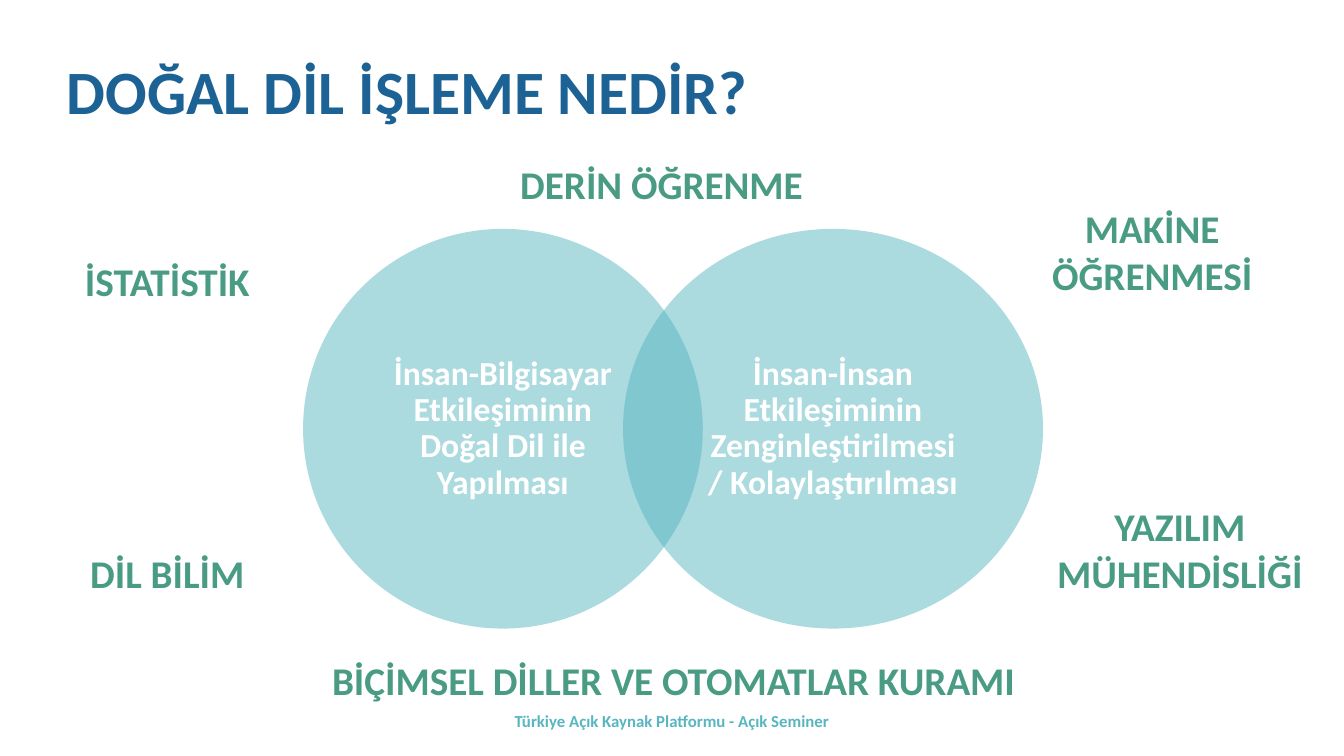
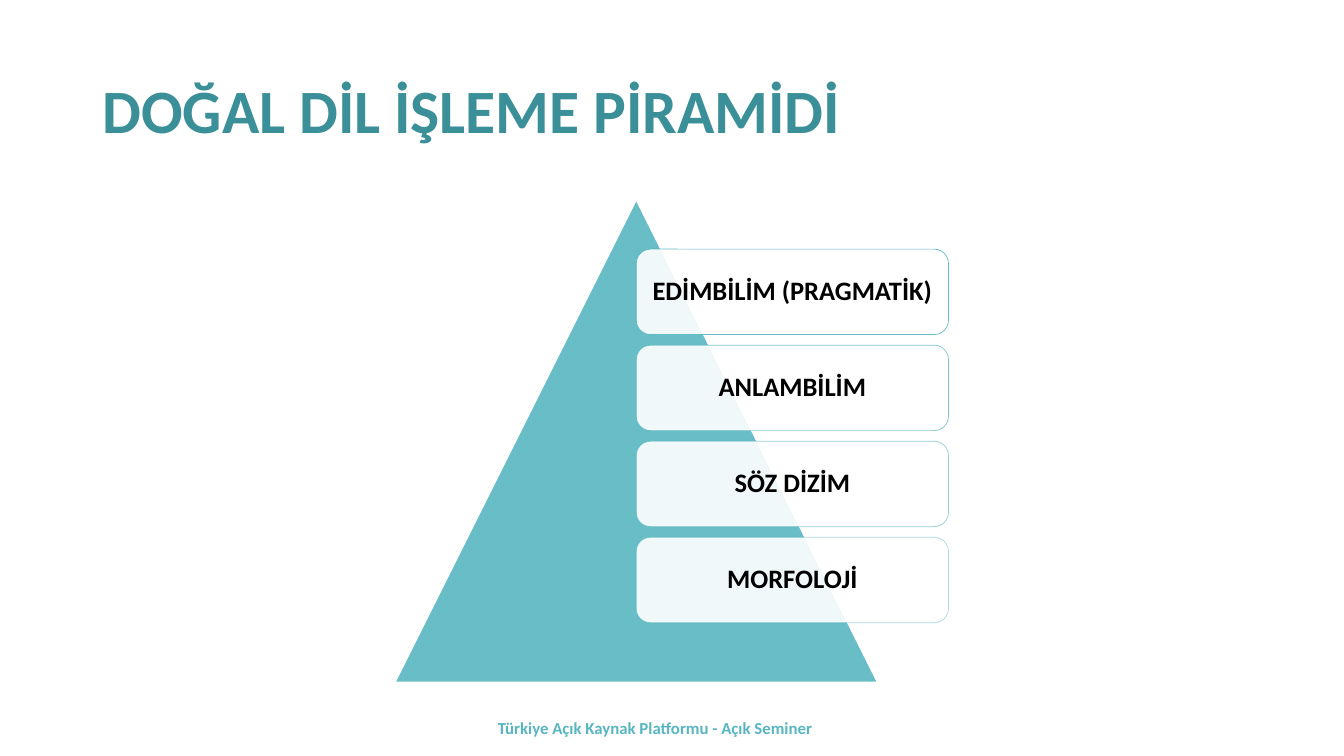
from lxml.etree import SubElement
from pptx import Presentation
from pptx.dml.color import RGBColor
from pptx.enum.shapes import MSO_SHAPE
from pptx.enum.text import MSO_ANCHOR, MSO_AUTO_SIZE, PP_ALIGN
from pptx.oxml.ns import qn
from pptx.util import Pt

COLORS = {
    "blue": "1D6294",
    "teal": "3A8F98",
    "aqua": "58B6C0",
    "green": "4A9B83",
    "white": "FFFFFF",
    "black": "000000",
}
FONT = "Calibri"
FOOTER = "Türkiye Açık Kaynak Platformu - Açık Seminer"

TOPICS = [
    ("İSTATİSTİK", 33, 180, 173, 41),
    ("DİL BİLİM", 33, 389, 173, 41),
    ("MAKİNE ÖĞRENMESİ", 698, 142.5, 250, 75),
    ("YAZILIM MÜHENDİSLİĞİ", 744.5, 355, 196.5, 75),
    ("DERİN ÖĞRENME", 357, 111, 231, 41),
    ("BİÇİMSEL DİLLER VE OTOMATLAR KURAMI", 198, 465, 566, 41),
]
CIRCLES = [
    ("İnsan-Bilgisayar Etkileşiminin Doğal Dil ile Yapılması", 216.5, 285.5),
    ("İnsan-İnsan Etkileşiminin Zenginleştirilmesi / Kolaylaştırılması", 445, 300),
]
LEVELS = ["EDİMBİLİM (PRAGMATİK)", "ANLAMBİLİM", "SÖZ DİZİM", "MORFOLOJİ"]


def color(name):
    return RGBColor.from_string(COLORS[name])


def write(shape, text, size, color_name, align=PP_ALIGN.CENTER,
          anchor=MSO_ANCHOR.MIDDLE, spacing=None):
    frame = shape.text_frame
    frame.word_wrap = True
    frame.auto_size = MSO_AUTO_SIZE.NONE
    frame.vertical_anchor = anchor
    frame.text = text
    para = frame.paragraphs[0]
    para.alignment = align
    para.line_spacing = spacing
    font = para.font
    font.name, font.size, font.bold = FONT, Pt(size), True
    font.color.rgb = color(color_name)


def set_opacity(parent, percent):
    """Set the opacity of the solid fill that is a direct child of parent."""
    tint = parent.find(qn("a:solidFill")).find(qn("a:srgbClr"))
    SubElement(tint, qn("a:alpha")).set("val", str(round(percent * 1000)))


def add_tinted_shape(page, kind, left, top, width, height, fill, opacity):
    shape = page.shapes.add_shape(kind, Pt(left), Pt(top), Pt(width), Pt(height))
    shape.shadow.inherit = False
    shape.fill.solid()
    shape.fill.fore_color.rgb = color(fill)
    set_opacity(shape.element.spPr, opacity)
    shape.line.fill.background()
    return shape


def outline(shape, color_name, opacity):
    shape.line.color.rgb = color(color_name)
    shape.line.width = Pt(0.5)
    set_opacity(shape.element.spPr.find(qn("a:ln")), opacity)


def set_insets(shape, horizontal, vertical):
    frame = shape.text_frame
    frame.margin_left = frame.margin_right = Pt(horizontal)
    frame.margin_top = frame.margin_bottom = Pt(vertical)


def add_label(page, text, left, top, width, height, size, color_name, anchor):
    box = page.shapes.add_textbox(Pt(left), Pt(top), Pt(width), Pt(height))
    write(box, text, size, color_name, anchor=anchor)


def add_page(deck, title, title_color, left, top):
    page = deck.slides.add_slide(deck.slide_layouts[5])
    box = page.shapes.title
    box.left, box.top, box.width, box.height = Pt(left), Pt(top), Pt(828), Pt(104.4)
    write(box, title, 44, title_color, PP_ALIGN.LEFT, spacing=0.9)
    return page


def add_footer(page, left, top):
    add_label(page, FOOTER, left, top, 324, 29, 12, "aqua", MSO_ANCHOR.MIDDLE)


def add_circles(page):
    for text, left, width in CIRCLES:
        circle = add_tinted_shape(page, MSO_SHAPE.OVAL, left, 163.5, width, 285.5,
                                  "aqua", 50)
        set_insets(circle, 16, 2)
        write(circle, text, 24, "white", spacing=0.9)


def add_pyramid(page):
    left, top, side = 283, 144, 343
    add_tinted_shape(page, MSO_SHAPE.ISOSCELES_TRIANGLE, left, top, side, side,
                     "aqua", 90)
    height, pitch = 61, 68.6
    for index, text in enumerate(LEVELS):
        card = add_tinted_shape(page, MSO_SHAPE.ROUNDED_RECTANGLE, left + side / 2,
                                178 + index * pitch, 223, height, "white", 90)
        outline(card, "aqua", 90 - 40 * index / (len(LEVELS) - 1))
        set_insets(card, 6, 6)
        write(card, text, 19, "black", spacing=0.9)


def main():
    deck = Presentation()
    deck.slide_width, deck.slide_height = Pt(960), Pt(540)

    page = add_page(deck, "DOĞAL DİL İŞLEME NEDİR?", "blue", 40.5, 15)
    add_circles(page)
    for text, *place in TOPICS:
        add_label(page, text, *place, 28, "green", MSO_ANCHOR.TOP)
    add_footer(page, 318, 500.5)

    page = add_page(deck, "DOĞAL DİL İŞLEME PİRAMİDİ", "teal", 66, 28.8)
    add_pyramid(page)
    add_footer(page, 306, 505)

    deck.save("out.pptx")


if __name__ == "__main__":
    main()
